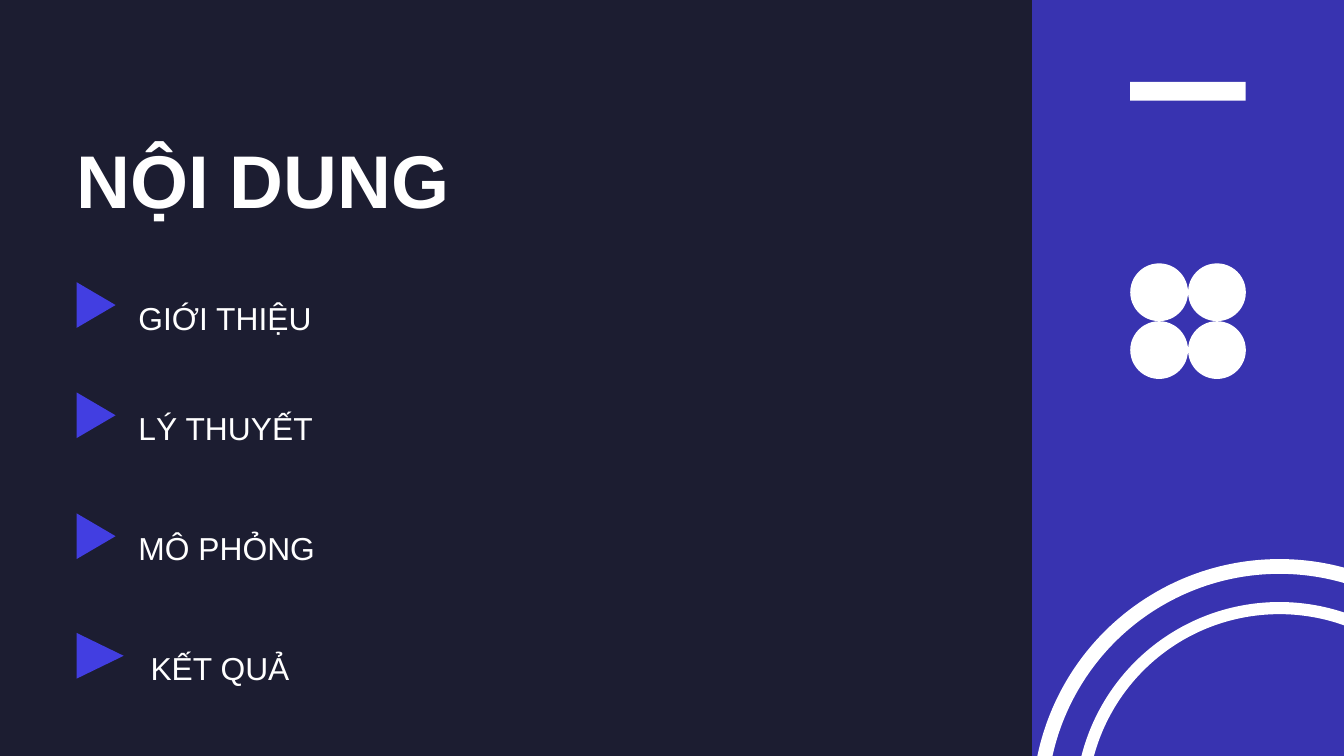
from pptx import Presentation
from pptx.dml.color import RGBColor
from pptx.enum.shapes import MSO_SHAPE
from pptx.enum.text import MSO_ANCHOR, MSO_AUTO_SIZE, PP_ALIGN
from pptx.oxml.ns import qn
from pptx.util import Inches, Pt

RECT, OVAL = MSO_SHAPE.RECTANGLE, MSO_SHAPE.OVAL
RING, TRIANGLE = MSO_SHAPE.DONUT, MSO_SHAPE.ISOSCELES_TRIANGLE
TOP, LEFT, NO_FIT = MSO_ANCHOR.TOP, PP_ALIGN.LEFT, MSO_AUTO_SIZE.NONE

NIGHT = RGBColor(0x1C, 0x1D, 0x31)
INDIGO = RGBColor(0x38, 0x33, 0xB0)
VIOLET = RGBColor(0x42, 0x3E, 0xE1)
WHITE = RGBColor(0xFF, 0xFF, 0xFF)
FONT = "Arial"

# Lengths in inches, on a 16:9 slide
SLIDE_W = 10
SLIDE_H = SLIDE_W * 9 / 16
MARGIN = 0.57
PANEL_X = 7.68
ORNAMENT_X, ORNAMENT_W = 8.41, 0.86
RING_CENTER = (9.52, 6)
MARKER_H = 0.34

# Topic, marker top, marker width, text indent (inches), space before (points)
TOPICS = [
    ("GIỚI THIỆU", 2.10, 0.29, 0, 0),
    ("LÝ THUYẾT", 2.92, 0.29, 0, 30.5),
    ("MÔ PHỎNG", 3.82, 0.29, 0, 35.5),
    ("KẾT QUẢ", 4.71, 0.35, 0.09, 36),
]


def add_solid(slide, preset, x, y, w, h, color):
    solid = slide.shapes.add_shape(preset, Inches(x), Inches(y), Inches(w), Inches(h))
    solid.fill.solid()
    solid.fill.fore_color.rgb = color
    solid.line.fill.background()
    solid.shadow.inherit = False
    return solid


def add_ring(slide, diameter, thickness):
    x, y = (c - diameter / 2 for c in RING_CENTER)
    ring = add_solid(slide, RING, x, y, diameter, diameter, WHITE)
    ring.adjustments[0] = thickness / diameter


def add_marker(slide, y, width):
    """Triangle turned to point right, with its left edge on the margin."""
    x = MARGIN + (width - MARKER_H) / 2
    marker = add_solid(slide, TRIANGLE, x, y + (MARKER_H - width) / 2,
                       MARKER_H, width, VIOLET)
    marker.rotation = 90


def place_text(holder, x, y, w, h):
    holder.left, holder.top = Inches(x), Inches(y)
    holder.width, holder.height = Inches(w), Inches(h)
    frame = holder.text_frame
    frame.word_wrap = True
    frame.auto_size = NO_FIT
    frame.vertical_anchor = TOP
    frame.margin_left = frame.margin_right = 0
    frame.margin_top = frame.margin_bottom = 0
    return frame


def write_line(paragraph, text, size, spacing, before=0, bold=False):
    paragraph.alignment = LEFT
    paragraph.line_spacing = spacing
    paragraph.space_before = Pt(before)
    paragraph.space_after = Pt(0)
    run = paragraph.add_run()
    run.text = text
    run.font.name = FONT
    run.font.size = Pt(size)
    run.font.bold = bold
    run.font.color.rgb = WHITE


def remove_bullet(paragraph, indent):
    properties = paragraph._p.get_or_add_pPr()
    properties.set("marL", str(Inches(indent)))
    properties.set("indent", "0")
    properties.append(properties.makeelement(qn("a:buNone"), {}))


def add_side_panel(slide):
    add_solid(slide, RECT, PANEL_X, 0, SLIDE_W - PANEL_X, SLIDE_H, INDIGO)
    add_ring(slide, 3.68, 0.11)
    add_ring(slide, 3.04, 0.09)
    add_solid(slide, RECT, ORNAMENT_X, 0.61, ORNAMENT_W, 0.14, WHITE)
    # Two by two cluster of touching dots
    dot = ORNAMENT_W / 2
    for row in range(2):
        for column in range(2):
            add_solid(slide, OVAL, ORNAMENT_X + column * dot, 1.96 + row * dot,
                      dot, dot, WHITE)


def add_topics(slide):
    frame = place_text(slide.placeholders[1], 1.03, 2.11, 5.93, 3)
    for i, (topic, y, width, indent, before) in enumerate(TOPICS):
        paragraph = frame.add_paragraph() if i else frame.paragraphs[0]
        write_line(paragraph, topic, 17, 1.4, before)
        remove_bullet(paragraph, indent)
        add_marker(slide, y, width)


def main():
    deck = Presentation()
    deck.slide_width, deck.slide_height = Inches(SLIDE_W), Inches(SLIDE_H)
    slide = deck.slides.add_slide(deck.slide_layouts[1])
    slide.background.fill.solid()
    slide.background.fill.fore_color.rgb = NIGHT

    add_side_panel(slide)
    heading = place_text(slide.shapes.title, MARGIN, 0.86, 6.54, 0.81)
    write_line(heading.paragraphs[0], "NỘI DUNG", 40, 1.2, bold=True)
    add_topics(slide)
    deck.save("out.pptx")


if __name__ == "__main__":
    main()
